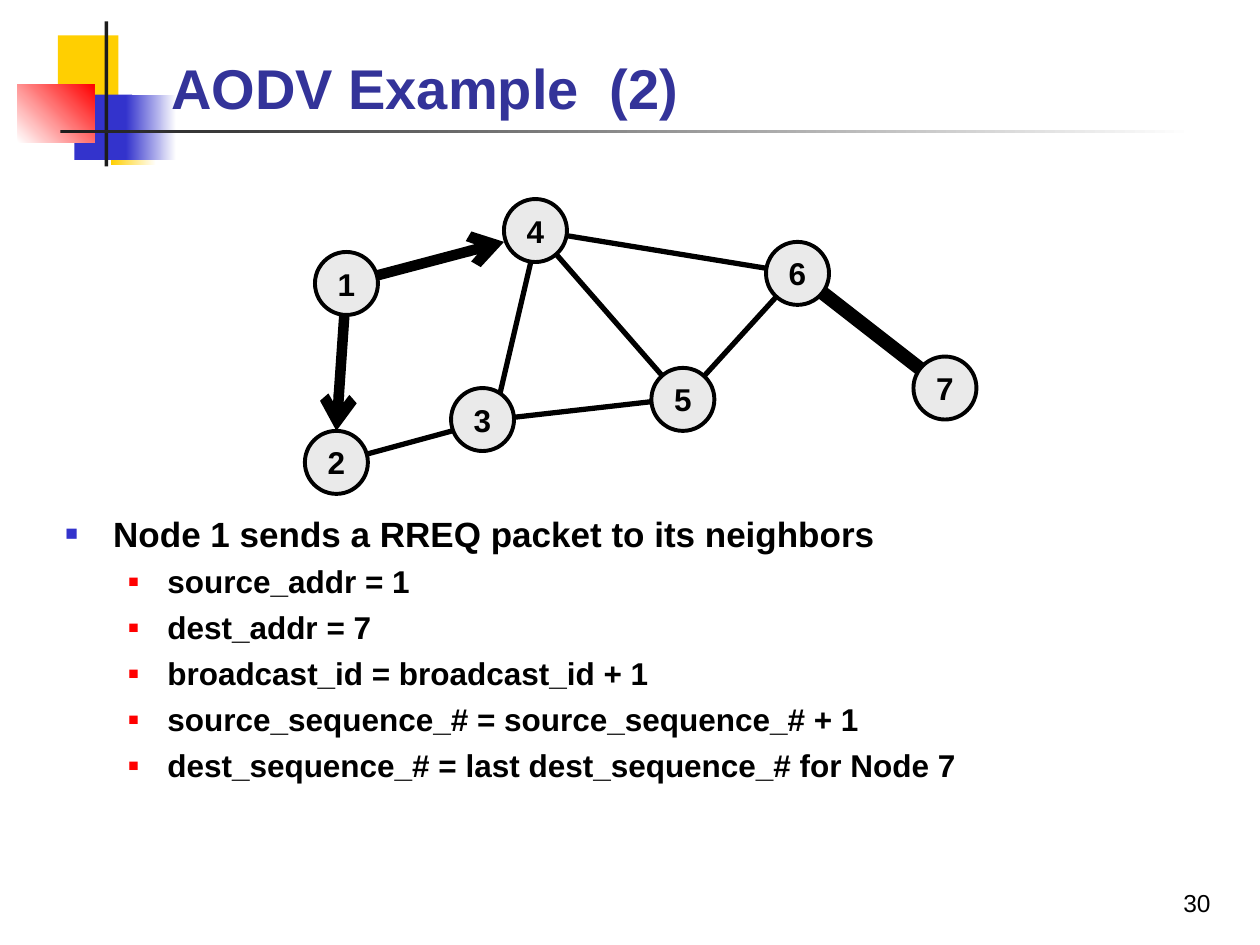
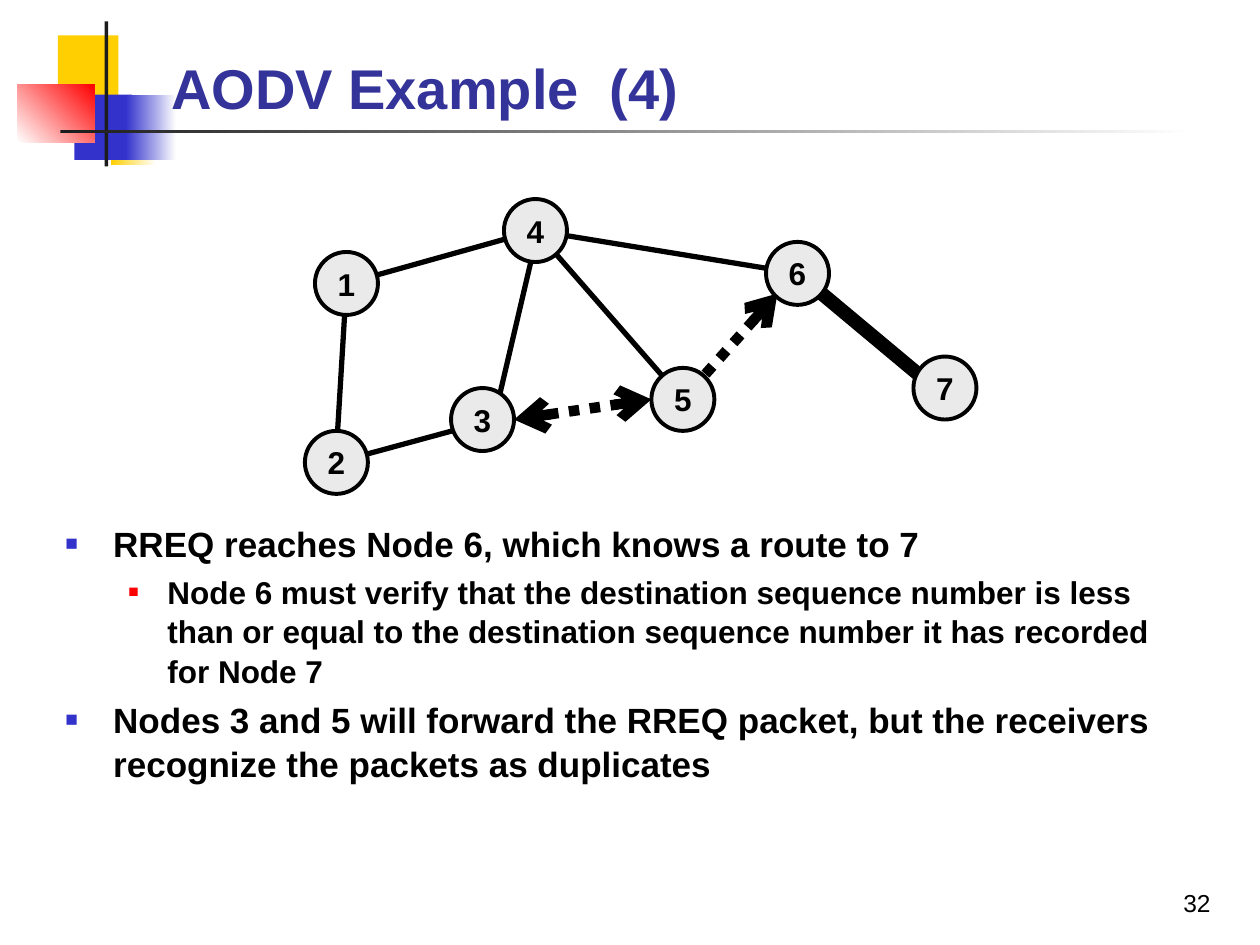
from dataclasses import dataclass

from lxml.etree import SubElement
from pptx import Presentation
from pptx.dml.color import RGBColor
from pptx.enum.dml import MSO_LINE_DASH_STYLE as Dash
from pptx.enum.shapes import MSO_CONNECTOR as Connector, MSO_SHAPE as Preset
from pptx.enum.text import MSO_ANCHOR as Anchor, PP_ALIGN as Align
from pptx.oxml.ns import qn
from pptx.slide import Slide
from pptx.text.text import TextFrame, _Paragraph as Paragraph
from pptx.util import Inches, Pt

WHITE = RGBColor(0xFF, 0xFF, 0xFF)
BLACK = RGBColor(0x00, 0x00, 0x00)
CHARCOAL = RGBColor(0x1C, 0x1C, 0x1C)
YELLOW = RGBColor(0xFF, 0xCF, 0x01)
BLUE = RGBColor(0x33, 0x33, 0xCC)
NAVY = RGBColor(0x33, 0x33, 0x99)
RED = RGBColor(0xFF, 0x00, 0x00)
NODE_GRAY = RGBColor(0xEA, 0xEA, 0xEA)
FONT = "Arial"
NODE_SIZE = 0.5

Point = tuple[float, float]


@dataclass(frozen=True)
class Block:
    left: float
    top: float
    width: float
    height: float
    color: RGBColor
    fade_to: RGBColor | None = None
    angle: float = 0


@dataclass(frozen=True)
class Link:
    start: Point
    end: Point
    width: float = 3
    dotted: bool = False
    head: bool = False
    tail: bool = False


@dataclass(frozen=True)
class BulletStyle:
    margin: float
    hanging: float
    color: RGBColor
    percent: int
    size: float


@dataclass(frozen=True)
class Bullet:
    text: str
    level: int = 1


@dataclass(frozen=True)
class Example:
    title: str
    number: int
    body_top: float
    links: list[Link]
    bullets: list[Bullet]


BLOCKS = [
    Block(0.46, 0.28, 0.48, 0.52, YELLOW),
    Block(0.88, 0.79, 0.36, 0.52, YELLOW, WHITE),
    Block(0.59, 0.75, 0.46, 0.52, BLUE),
    Block(1, 0.75, 0.4, 0.52, BLUE, WHITE),
    Block(0.14, 0.67, 0.61, 0.46, WHITE, RED, 45),
    Block(0.83, 0.17, 0.03, 1.15, CHARCOAL),
    Block(0.48, 1.03, 9, 0.03, CHARCOAL, WHITE),
]

BULLET_STYLES = [
    BulletStyle(0.38, 0.38, BLUE, 60, 20),
    BulletStyle(0.81, 0.31, RED, 55, 18),
]

NODES: dict[int, Point] = {
    1: (2.75, 2.25),
    2: (2.67, 3.67),
    3: (3.83, 3.33),
    4: (4.25, 1.83),
    5: (5.42, 3.17),
    6: (6.33, 2.17),
    7: (7.5, 3.08),
}
INSIDE_3: Point = (3.92, 3.33)

COMMON_LINKS = [
    Link(NODES[4], NODES[5]),
    Link(NODES[2], INSIDE_3),
    Link((4.25, 1.92), INSIDE_3),
    Link(NODES[4], NODES[6]),
]

EXAMPLES = [
    Example(
        "AODV Example  (2)", 30, 4,
        [
            Link(NODES[1], (2.67, 3.42), 6, tail=True),
            Link(NODES[1], (4, 1.92), 6, tail=True),
            Link(INSIDE_3, (5.33, 3.17)),
            Link(NODES[6], NODES[7], 8),
            Link(NODES[6], NODES[5]),
        ],
        [
            Bullet("Node 1 sends a RREQ packet to its neighbors", 0),
            Bullet("source_addr = 1"),
            Bullet("dest_addr = 7"),
            Bullet("broadcast_id = broadcast_id + 1"),
            Bullet("source_sequence_# = source_sequence_# + 1"),
            Bullet("dest_sequence_# = last dest_sequence_# for Node 7"),
        ],
    ),
    Example(
        "AODV Example  (4)", 32, 4.08,
        [
            Link(NODES[1], (2.67, 3.58)),
            Link(NODES[1], NODES[4]),
            Link((4.08, 3.33), (5.17, 3.17), 6, dotted=True, head=True, tail=True),
            Link(NODES[6], (7.42, 3.08), 8),
            Link((6.17, 2.33), NODES[5], 6, dotted=True, head=True),
        ],
        [
            Bullet("RREQ reaches Node 6, which knows a route to 7", 0),
            Bullet("Node 6 must verify that the destination sequence number is less "
                   "than or equal to the destination sequence number it has recorded "
                   "for Node 7"),
            Bullet("Nodes 3 and 5 will forward the RREQ packet, but the receivers "
                   "recognize the packets as duplicates", 0),
        ],
    ),
]


def write(para: Paragraph, text: str, *, size: float, color: RGBColor = BLACK,
          bold: bool = True, align: Align = Align.LEFT) -> None:
    span = para.add_run()
    span.text = text
    span.font.name = FONT
    span.font.size = Pt(size)
    span.font.bold = bold
    span.font.color.rgb = color
    para.alignment = align


def add_text_frame(page: Slide, left: float, top: float, width: float,
                   height: float) -> TextFrame:
    box = page.shapes.add_textbox(Inches(left), Inches(top), Inches(width), Inches(height))
    box.text_frame.word_wrap = True
    return box.text_frame


def draw_block(page: Slide, block: Block) -> None:
    shape = page.shapes.add_shape(Preset.RECTANGLE, Inches(block.left), Inches(block.top),
                                  Inches(block.width), Inches(block.height))
    shape.shadow.inherit = False
    shape.line.fill.background()
    if block.fade_to is None:
        shape.fill.solid()
        shape.fill.fore_color.rgb = block.color
        return
    shape.fill.gradient()
    shape.fill.gradient_angle = block.angle
    for stop, color in zip(shape.fill.gradient_stops, (block.color, block.fade_to)):
        stop.color.rgb = color


def draw_link(page: Slide, link: Link) -> None:
    (x1, y1), (x2, y2) = link.start, link.end
    connector = page.shapes.add_connector(Connector.STRAIGHT, Inches(x1), Inches(y1),
                                          Inches(x2), Inches(y2))
    connector.line.color.rgb = BLACK
    connector.line.width = Pt(link.width)
    if link.dotted:
        connector.line.dash_style = Dash.ROUND_DOT
    properties = connector.element.spPr
    outline = properties.find(qn("a:ln"))
    for tag, shown in (("a:headEnd", link.head), ("a:tailEnd", link.tail)):
        if shown:
            SubElement(outline, qn(tag), type="arrow")
    SubElement(properties, qn("a:effectLst"))


def draw_node(page: Slide, number: int, center: Point) -> None:
    x, y = center
    node = page.shapes.add_shape(Preset.OVAL, Inches(x - NODE_SIZE / 2),
                                 Inches(y - NODE_SIZE / 2),
                                 Inches(NODE_SIZE), Inches(NODE_SIZE))
    node.shadow.inherit = False
    node.fill.solid()
    node.fill.fore_color.rgb = NODE_GRAY
    node.line.color.rgb = BLACK
    node.line.width = Pt(2.25)
    frame = node.text_frame
    frame.word_wrap = False
    frame.vertical_anchor = Anchor.MIDDLE
    write(frame.paragraphs[0], str(number), size=18, align=Align.CENTER)


def add_marker(para: Paragraph, style: BulletStyle) -> None:
    properties = para._p.get_or_add_pPr()
    properties.set("marL", str(Inches(style.margin)))
    properties.set("indent", str(-Inches(style.hanging)))
    color = SubElement(properties, qn("a:buClr"))
    SubElement(color, qn("a:srgbClr"), val=str(style.color))
    SubElement(properties, qn("a:buSzPct"), val=str(style.percent * 1000))
    SubElement(properties, qn("a:buFont"), typeface=FONT)
    SubElement(properties, qn("a:buChar"), char="■")


def draw_bullets(page: Slide, top: float, bullets: list[Bullet]) -> None:
    frame = add_text_frame(page, 0.42, top, 9.08, 6.75 - top)
    for index, bullet in enumerate(bullets):
        para = frame.add_paragraph() if index else frame.paragraphs[0]
        style = BULLET_STYLES[bullet.level]
        add_marker(para, style)
        para.line_spacing = 1.05
        if index:
            para.space_before = Pt(style.size * 0.2)
        write(para, bullet.text, size=style.size)


def draw_example(page: Slide, example: Example) -> None:
    for block in BLOCKS:
        draw_block(page, block)
    title = add_text_frame(page, 1.26, 0.18, 8.52, 0.83)
    title.vertical_anchor = Anchor.BOTTOM
    write(title.paragraphs[0], example.title, size=32, color=NAVY)
    draw_bullets(page, example.body_top, example.bullets)
    for link in COMMON_LINKS + example.links:
        draw_link(page, link)
    for number, center in NODES.items():
        draw_node(page, number, center)
    footer = add_text_frame(page, 9, 7, 1, 0.5)
    write(footer.paragraphs[0], str(example.number), size=14, bold=False, align=Align.CENTER)


def main() -> None:
    deck = Presentation()
    deck.slide_width = Inches(10)
    deck.slide_height = Inches(7.5)
    for example in EXAMPLES:
        draw_example(deck.slides.add_slide(deck.slide_layouts[6]), example)
    deck.save("out.pptx")


if __name__ == "__main__":
    main()
